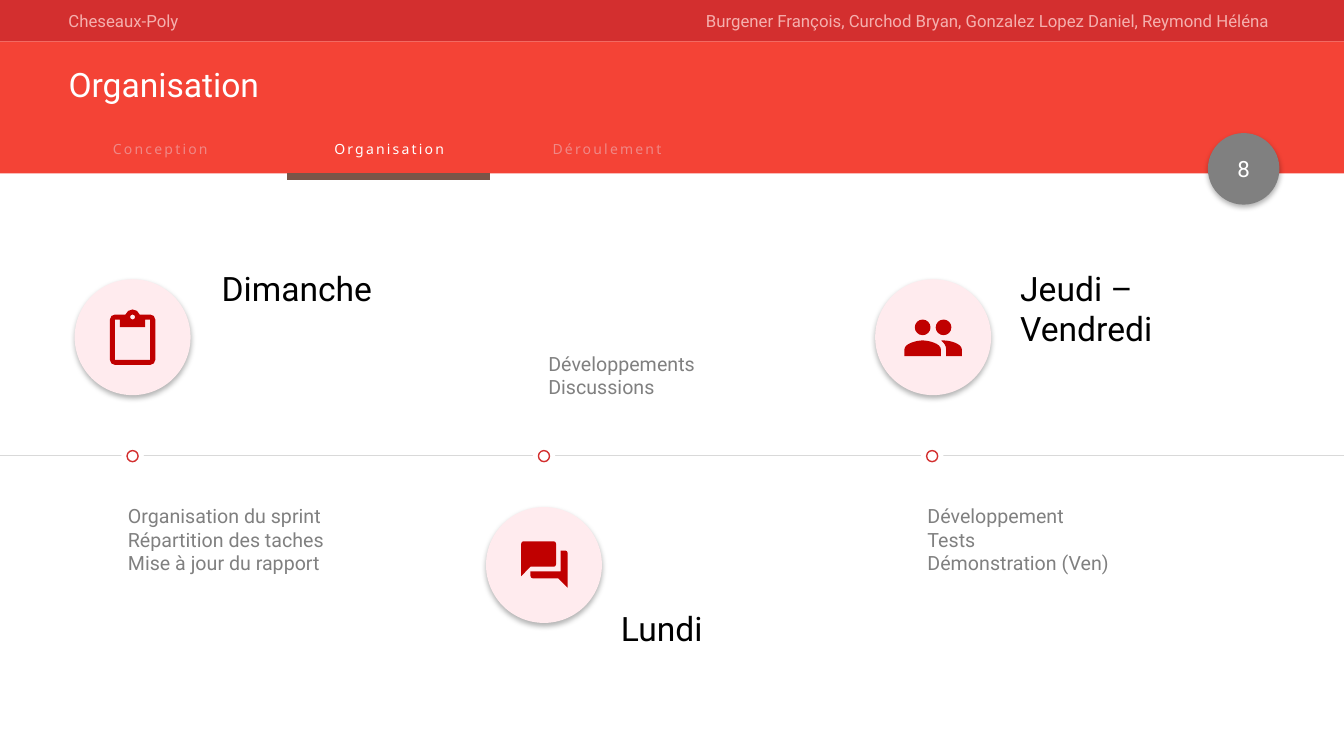
from lxml import etree
from pptx import Presentation
from pptx import util as u
from pptx.dml.color import RGBColor
from pptx.enum import shapes, text
from pptx.oxml.ns import qn

WIDTH, HEIGHT = 13.33, 7.5
COLORS = {
    "dark red": "D32F2F", "red": "F44336", "icon": "C00000", "disc": "FFEBEE",
    "pale": "F5B0AE", "faded": "EF8886", "white": "FFFFFF", "black": "000000",
    "gray": "808080", "light gray": "D9D9D9", "brown": "795548",
}
COLORS = {name: RGBColor.from_string(value) for name, value in COLORS.items()}
LEFT, CENTER, RIGHT = text.PP_ALIGN.LEFT, text.PP_ALIGN.CENTER, text.PP_ALIGN.RIGHT
MARGIN = 0.58
HEADER = 0.41
BANNER_BOTTOM = 1.72
TIMELINE = 4.52
SOFT_SHADOW = {"blurRad": u.Pt(4), "dist": u.Pt(2), "dir": 5400000}
HALO = {"blurRad": 0, "dist": 0, "dir": 0, "sx": 180000, "sy": 180000, "algn": "ctr"}

presentation = Presentation()
presentation.slide_width = u.Inches(WIDTH)
presentation.slide_height = u.Inches(HEIGHT)
slide = presentation.slides.add_slide(presentation.slide_layouts[5])


def add_text(box, lines, size, color, align=LEFT, font="Roboto", spacing=None):
    shape = slide.shapes.add_textbox(*map(u.Inches, box))
    shape.text_frame.text = "\n".join(lines)
    shape.text_frame.word_wrap = True
    shape.text_frame.auto_size = text.MSO_AUTO_SIZE.SHAPE_TO_FIT_TEXT
    for paragraph in shape.text_frame.paragraphs:
        paragraph.alignment = align
        run = paragraph.runs[0]
        for name, value in {"size": u.Pt(size), "name": font}.items():
            setattr(run.font, name, value)
        run.font.color.rgb = COLORS[color]
        if spacing:
            run.font._element.set("spc", str(spacing))
    return shape


def add_disc(left, top, diameter, fill, shadow, shadow_color="black", opacity=30):
    box = (left, top, diameter, diameter)
    shape = slide.shapes.add_shape(shapes.MSO_SHAPE.OVAL, *map(u.Inches, box))
    shape.fill.solid()
    shape.fill.fore_color.rgb = COLORS[fill]
    shape.line.fill.background()
    shape.shadow.inherit = False
    effects = shape._element.spPr.find(qn("a:effectLst"))
    outer = etree.SubElement(effects, qn("a:outerShdw"),
                             {name: str(value) for name, value in shadow.items()}, rotWithShape="0")
    color = etree.SubElement(outer, qn("a:srgbClr"), val=str(COLORS[shadow_color]))
    etree.SubElement(color, qn("a:alpha"), val=str(opacity * 1000))
    return shape


# Header bands
for top, bottom, color in [(0, HEADER, "dark red"), (HEADER, BANNER_BOTTOM, "red")]:
    band = slide.shapes.add_shape(shapes.MSO_SHAPE.RECTANGLE,
                                  *map(u.Inches, (0, top, WIDTH, bottom - top)))
    band.fill.solid()
    band.fill.fore_color.rgb = COLORS[color]
    band.line.fill.background()
    band.shadow.inherit = False
add_text((MARGIN, 0.06, 5.56, 0.3), ["Cheseaux-Poly"], 12, "pale")
add_text((6.01, 0.06, 6.68, 0.3),
         ["Burgener François, Curchod Bryan, Gonzalez Lopez Daniel, Reymond Héléna"],
         12, "pale", RIGHT)

# Title, brought in front of the bands
title = slide.shapes.title
slide.shapes._spTree.append(title._element)
for side, value in {"left": MARGIN, "top": 0.62, "width": 12.28, "height": 0.47}.items():
    setattr(title, side, u.Inches(value))
title.text_frame.text = "Organisation"
title.text_frame.vertical_anchor = text.MSO_ANCHOR.MIDDLE
paragraph = title.text_frame.paragraphs[0]
for name, value in {"alignment": LEFT, "line_spacing": 0.9}.items():
    setattr(paragraph, name, value)
for name, value in {"size": u.Pt(24), "name": "Roboto"}.items():
    setattr(paragraph.runs[0].font, name, value)
paragraph.runs[0].font.color.rgb = COLORS["white"]

# Tabs
for left, label, color in [(MARGIN, "Conception", "faded"), (2.85, "Organisation", "white"),
                           (5.01, "Déroulement", "faded")]:
    add_text((left, 1.34, 2.02, 0.27), [label], 10, color, CENTER, "Noto Sans", 160)

# Active tab marker and timeline axis
for start, end, y, color, weight in [(2.85, 4.86, 1.75, "brown", 4.5),
                                     (0, WIDTH, TIMELINE, "light gray", 0.75)]:
    line = slide.shapes.add_connector(shapes.MSO_CONNECTOR.STRAIGHT,
                                      *map(u.Inches, (start, y, end, y)))
    line.line.color.rgb = COLORS[color]
    line.line.width = u.Pt(weight)
    etree.SubElement(line._element.spPr, qn("a:effectLst"))

# Page number
add_disc(11.98, 1.32, 0.71, "gray", SOFT_SHADOW)
number = add_text((11.94, 1.47, 0.79, 0.4), ["8"], 16, "white", CENTER)
number.text_frame.vertical_anchor = text.MSO_ANCHOR.MIDDLE
number.text_frame.auto_size = text.MSO_AUTO_SIZE.NONE

# Icon contours on a 24-unit grid: (x, y) is a line, six numbers a Bézier curve
CLIPBOARD = [
    [(19, 2), (14.82, 2), (14.4, 0.84, 13.3, 0, 12, 0), (10.7, 0, 9.6, 0.84, 9.18, 2), (5, 2),
     (3.9, 2, 3, 2.9, 3, 4), (3, 20), (3, 21.1, 3.9, 22, 5, 22), (19, 22),
     (20.1, 22, 21, 21.1, 21, 20), (21, 4), (21, 2.9, 20.1, 2, 19, 2)],
    [(12, 2), (12.55, 2, 13, 2.45, 13, 3), (13, 3.55, 12.55, 4, 12, 4),
     (11.45, 4, 11, 3.55, 11, 3), (11, 2.45, 11.45, 2, 12, 2)],
    [(19, 20), (5, 20), (5, 4), (7, 4), (7, 7), (17, 7), (17, 4), (19, 4), (19, 20)],
]
CHAT = [
    [(21, 6), (19, 6), (19, 15), (6, 15), (6, 17), (6, 17.55, 6.45, 18, 7, 18), (18, 18),
     (22, 22), (22, 7), (22, 6.45, 21.55, 6, 21, 6)],
    [(17, 12), (17, 3), (17, 2.45, 16.55, 2, 16, 2), (3, 2), (2.45, 2, 2, 2.45, 2, 3),
     (2, 17), (6, 13), (16, 13), (16.55, 13, 17, 12.55, 17, 12)],
]
HEADS = [[(x, 11), (x + 1.66, 11, x + 3, 9.66, x + 3, 8), (x + 3, 6.34, x + 1.66, 5, x, 5),
          (x - 1.66, 5, x - 3, 6.34, x - 3, 8), (x - 3, 9.66, x - 1.66, 11, x, 11)]
         for x in (16, 8)]
PEOPLE = HEADS + [
    [(8, 13), (5.67, 13, 1, 14.17, 1, 16.5), (1, 19), (15, 19), (15, 16.5),
     (15, 14.17, 10.33, 13, 8, 13)],
    [(16, 13), (15.71, 13, 15.38, 13.02, 15.03, 13.05), (16.19, 13.89, 17, 15.02, 17, 16.5),
     (17, 19), (23, 19), (23, 16.5), (23, 14.17, 18.33, 13, 16, 13)],
]

# Timeline: disc corner, dot left, day and box, details and box,
# icon, size of a grid unit, corner of the icon on its grid and on the slide
events = [
    ((0.74, 2.77), 1.26, ["Dimanche"], (2.1, 2.61, 1.93, 0.5),
     ["Organisation du sprint", "Répartition des taches", "Mise à jour du rapport"],
     (1.17, 4.95, 2.71, 0.81), CLIPBOARD, 0.45 / 18, (3, 0), (1.09, 3.07)),
    ((4.82, 5.03), 5.34, ["Lundi"], (6.06, 5.98, 1.99, 0.5),
     ["Développements", "Discussions"],
     (5.34, 3.44, 2.71, 0.57), CHAT, 0.46 / 20, (2, 2), (5.17, 5.37)),
    ((8.68, 2.77), 9.19, ["Jeudi –", "Vendredi"], (10.02, 2.61, 3.42, 0.91),
     ["Développement", "Tests", "Démonstration (Ven)"],
     (9.1, 4.95, 2.71, 0.81), PEOPLE, 0.57 / 22, (1, 5), (8.97, 3.17)),
]
for disc, dot_left, day, day_box, details, details_box, icon, unit, corner, place in events:
    add_disc(*disc, 1.15, "disc", SOFT_SHADOW)
    dot = add_disc(dot_left, TIMELINE - 0.05, 0.11, "white", HALO, "white", 100)
    dot.line.color.rgb = COLORS["dark red"]
    dot.line.width = u.Pt(1)
    add_text(day_box, day, 24, "black")
    add_text(details_box, details, 14, "gray")

    # Outline through the end points of every step
    scale = u.Inches(unit)
    builder = slide.shapes.build_freeform(*icon[0][0], scale=1)
    builder = None
    for contour in icon:
        points = [(x * scale, y * scale) for *_, x, y in contour]
        if builder is None:
            builder = slide.shapes.build_freeform(*points[0])
        else:
            builder.move_to(*points[0])
        builder.add_line_segments(points[1:], close=True)
    glyph = builder.convert_to_shape()
    glyph.left, glyph.top = map(u.Inches, place)
    glyph.fill.solid()
    glyph.fill.fore_color.rgb = COLORS["icon"]
    glyph.line.fill.background()
    glyph.shadow.inherit = False

    # Curved steps get their two control points
    steps = [step for contour in icon for step in contour[1:]]
    for segment, step in zip(list(glyph._element.iter(qn("a:lnTo"))), steps):
        if len(step) == 6:
            segment.tag = qn("a:cubicBezTo")
            for i in (0, 1):
                x, y = [round((step[2 * i + k] - corner[k]) * scale) for k in (0, 1)]
                segment.insert(i, segment.makeelement(qn("a:pt"), {"x": str(x), "y": str(y)}))

presentation.save("out.pptx")
